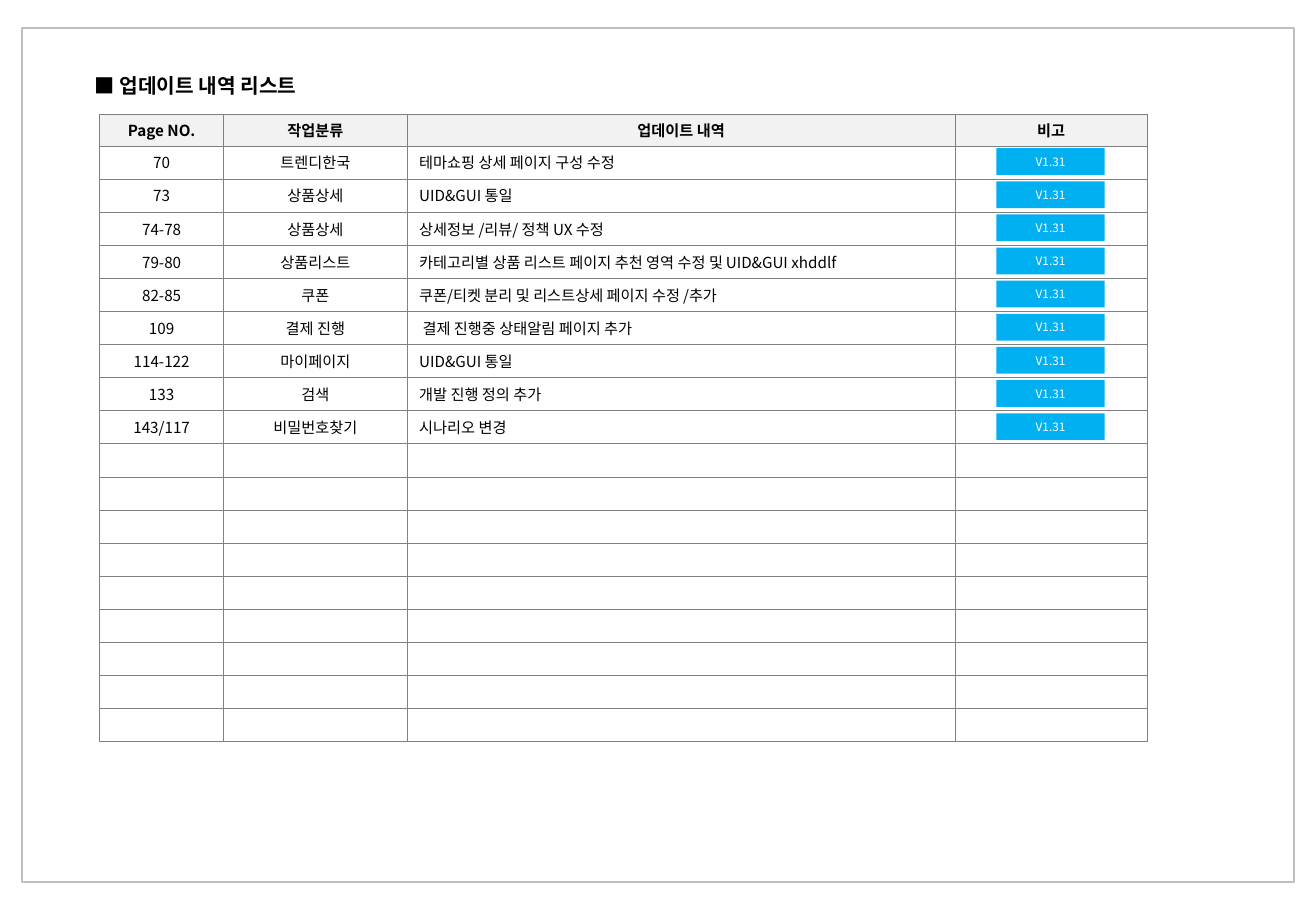
"""Build the update history slide: a titled table with version badges."""
from dataclasses import dataclass

from lxml.etree import SubElement
from pptx import Presentation
from pptx.dml.color import RGBColor
from pptx.enum.shapes import MSO_SHAPE
from pptx.enum.text import MSO_ANCHOR, MSO_AUTO_SIZE, PP_ALIGN
from pptx.oxml.ns import qn
from pptx.util import Inches, Pt

TITLE = "■ 업데이트 내역 리스트"
HEADINGS = ("Page NO.", "작업분류", "업데이트 내역", "비고")
UPDATES = [
    ("70", "트렌디한국", "테마쇼핑 상세 페이지 구성 수정"),
    ("73", "상품상세", "UID&GUI 통일"),
    ("74-78", "상품상세", "상세정보 /리뷰/ 정책 UX 수정"),
    ("79-80", "상품리스트", "카테고리별 상품 리스트 페이지 추천 영역 수정 및 UID&GUI xhddlf"),
    ("82-85", "쿠폰", "쿠폰/티켓 분리 및 리스트상세 페이지 수정 /추가"),
    ("109", "결제 진행", " 결제 진행중 상태알림 페이지 추가"),
    ("114-122", "마이페이지", "UID&GUI 통일"),
    ("133", "검색", "개발 진행 정의 추가"),
    ("143/117", "비밀번호찾기", "시나리오 변경"),
]
VERSION = "V1.31"
EMPTY_ROWS = 9
DETAIL_COLUMN = 2


@dataclass(frozen=True)
class Theme:
    font: str = "Noto Sans CJK KR"
    ink: str = "000000"
    badge_ink: str = "FFFFFF"
    badge: str = "00B0F0"
    heading: str = "F2F2F2"
    grid: str = "808080"
    frame: str = "BFBFBF"
    title_size: float = 12
    table_size: float = 9
    badge_size: float = 7
    grid_width: float = 0.25
    frame_width: float = 1


THEME = Theme()
COLUMN_WIDTHS = (1.02, 1.51, 4.51, 1.58)
TABLE_LEFT, TABLE_TOP, TABLE_HEIGHT = 0.82, 0.94, 5.17
HEADING_HEIGHT = 0.26
ROW_COUNT = len(UPDATES) + EMPTY_ROWS
ROW_HEIGHT = (TABLE_HEIGHT - HEADING_HEIGHT) / ROW_COUNT
BADGE_LEFT, BADGE_WIDTH, BADGE_HEIGHT, BADGE_OFFSET = 8.2, 0.89, 0.22, 0.02


def write(frame, text, size, color, align=PP_ALIGN.CENTER, bold=False):
    frame.text = text
    paragraph = frame.paragraphs[0]
    paragraph.alignment = align
    for run in paragraph.runs:
        run.font.size = Pt(size)
        run.font.bold = bold
        run.font.color.rgb = RGBColor.from_string(color)
        run.font.name = THEME.font
        SubElement(run._r.get_or_add_rPr(), qn("a:ea"), typeface=THEME.font)
    if not text:
        SubElement(paragraph._p, qn("a:endParaRPr"), sz=str(int(size * 100)))


def add_rectangle(slide, left, top, width, height):
    rectangle = slide.shapes.add_shape(
        MSO_SHAPE.RECTANGLE, Inches(left), Inches(top), Inches(width), Inches(height))
    rectangle.shadow.inherit = False
    return rectangle


def add_frame(slide):
    frame = add_rectangle(slide, 0.18, 0.23, 10.47, 7.03)
    frame.fill.background()
    frame.line.color.rgb = RGBColor.from_string(THEME.frame)
    frame.line.width = Pt(THEME.frame_width)


def add_title(slide):
    title = slide.shapes.title
    title.left, title.top = Inches(0.67), Inches(0.55)
    title.width, title.height = Inches(3.03), Inches(0.31)
    body = title.text_frame
    body.auto_size = MSO_AUTO_SIZE.NONE
    body.vertical_anchor = MSO_ANCHOR.MIDDLE
    body.margin_left = body.margin_right = Inches(0.11)
    write(body, TITLE, THEME.title_size, THEME.ink, PP_ALIGN.LEFT, True)


def outline_cell(cell):
    properties = cell._tc.get_or_add_tcPr()
    for side in ("lnL", "lnR", "lnT", "lnB"):
        border = SubElement(properties, qn(f"a:{side}"), w=str(Pt(THEME.grid_width)))
        fill = SubElement(border, qn("a:solidFill"))
        SubElement(fill, qn("a:srgbClr"), val=THEME.grid)


def add_updates(slide):
    table = slide.shapes.add_table(
        ROW_COUNT + 1, len(HEADINGS), Inches(TABLE_LEFT), Inches(TABLE_TOP),
        Inches(sum(COLUMN_WIDTHS)), Inches(TABLE_HEIGHT)).table
    table.first_row = table.horz_banding = False
    for column, width in zip(table.columns, COLUMN_WIDTHS):
        column.width = Inches(width)
    blank = ("",) * len(HEADINGS)
    contents = [HEADINGS, *((*update, "") for update in UPDATES), *[blank] * EMPTY_ROWS]
    for row_index, (row, texts) in enumerate(zip(table.rows, contents)):
        is_heading = row_index == 0
        row.height = Inches(HEADING_HEIGHT if is_heading else ROW_HEIGHT)
        for column_index, (cell, text) in enumerate(zip(row.cells, texts)):
            is_detail = column_index == DETAIL_COLUMN and not is_heading
            cell.vertical_anchor = MSO_ANCHOR.MIDDLE
            cell.margin_top = cell.margin_bottom = Inches(0.03)
            outline_cell(cell)
            if is_heading:
                cell.fill.solid()
                cell.fill.fore_color.rgb = RGBColor.from_string(THEME.heading)
            else:
                cell.fill.background()
            write(cell.text_frame, text, THEME.table_size, THEME.ink,
                  PP_ALIGN.LEFT if is_detail else PP_ALIGN.CENTER, is_heading)


def add_badges(slide):
    first_top = TABLE_TOP + HEADING_HEIGHT + BADGE_OFFSET
    for index in range(len(UPDATES)):
        badge = add_rectangle(slide, BADGE_LEFT, first_top + index * ROW_HEIGHT,
                              BADGE_WIDTH, BADGE_HEIGHT)
        badge.fill.solid()
        badge.fill.fore_color.rgb = RGBColor.from_string(THEME.badge)
        badge.line.fill.background()
        badge.text_frame.margin_top = badge.text_frame.margin_bottom = 0
        badge.text_frame.vertical_anchor = MSO_ANCHOR.MIDDLE
        write(badge.text_frame, VERSION, THEME.badge_size, THEME.badge_ink)


def main():
    deck = Presentation()
    deck.slide_width, deck.slide_height = Inches(10.83), Inches(7.5)
    slide = deck.slides.add_slide(deck.slide_layouts[5])
    add_frame(slide)
    add_title(slide)
    add_updates(slide)
    add_badges(slide)
    deck.save("out.pptx")


if __name__ == "__main__":
    main()
